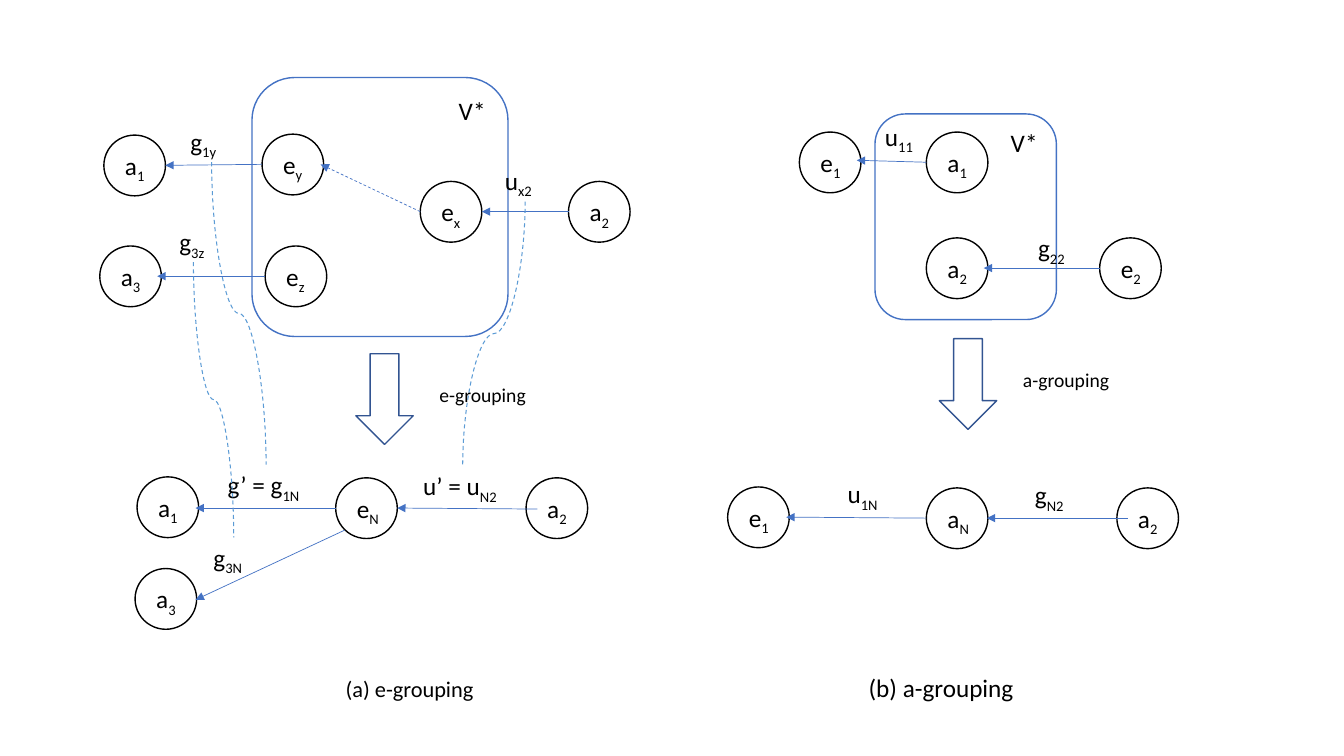
from dataclasses import dataclass

from lxml import etree
from pptx import Presentation
from pptx.dml.color import RGBColor
from pptx.enum.dml import MSO_LINE
from pptx.enum.shapes import MSO_CONNECTOR, MSO_SHAPE
from pptx.enum.text import MSO_ANCHOR, MSO_AUTO_SIZE, PP_ALIGN
from pptx.oxml.ns import qn
from pptx.util import Pt

OVAL, ROUND, DOWN = MSO_SHAPE.OVAL, MSO_SHAPE.ROUNDED_RECTANGLE, MSO_SHAPE.DOWN_ARROW
STRAIGHT, CURVE = MSO_CONNECTOR.STRAIGHT, MSO_CONNECTOR.CURVE
DASH, TOP, RIGHT = MSO_LINE.DASH, MSO_ANCHOR.TOP, PP_ALIGN.RIGHT
FIT = MSO_AUTO_SIZE.SHAPE_TO_FIT_TEXT

FONT = "Calibri"
COLORS = {"ink": "000000", "paper": "FFFFFF", "edge": "4472C4",
          "block": "325491", "curve": "5B9BD5"}
NODE_W, NODE_H = 44, 43.4


@dataclass
class Label:
    x: float
    y: float
    width: float
    base: str
    sub: str = ""
    size: float = 18
    wrap: bool = True


@dataclass
class Node:
    x: float
    y: float
    base: str
    sub: str


@dataclass
class Box:
    x: float
    y: float
    width: float
    height: float


@dataclass
class Link:
    x1: float
    y1: float
    x2: float
    y2: float
    dashed: bool = False


FRAMES = [Box(625, 81.4, 129.6, 146.9), Box(180, 55.4, 182.9, 185)]
BLOCKS = [Box(254.2, 252.7, 41, 64.8), Box(671, 241.9, 41, 64.8)]

NODES = [
    # Left, before and after
    Node(187.2, 95.8, "e", "y"), Node(189.4, 175.7, "e", "z"),
    Node(300.2, 129.6, "e", "x"), Node(406.1, 129.6, "a", "2"),
    Node(74.2, 96.5, "a", "1"), Node(71.3, 175.7, "a", "3"),
    Node(239.8, 341.3, "e", "N"), Node(375.8, 341.3, "a", "2"),
    Node(97.9, 340.6, "a", "1"), Node(96.5, 406.1, "a", "3"),
    # Right, before and after
    Node(661.7, 94.3, "a", "1"), Node(661.7, 169.9, "a", "2"),
    Node(571, 94.3, "e", "1"), Node(785.5, 169.9, "e", "2"),
    Node(661.7, 348.5, "a", "N"), Node(797.8, 348.5, "a", "2"),
    Node(519.8, 347.8, "e", "1"),
]

LABELS = [
    # Edge names
    Label(121, 158.4, 35.3, "g", "3z"), Label(353.5, 114.5, 43, "u", "x2"),
    Label(155.5, 331.9, 70, "g’ = g", "1N"), Label(145.4, 383.8, 43, "g", "3N"),
    Label(295.2, 332.6, 70, "u’ = u", "N2"), Label(128.9, 86.4, 44, "g", "1y"),
    Label(598.3, 338.4, 47.5, "u", "1N"), Label(732.2, 339.1, 44, "g", "N2"),
    Label(625, 82.8, 43, "u", "11"), Label(734.4, 162.7, 43, "g", "22"),
    # Step names and captions
    Label(306.7, 270, 77, "e-grouping", size=14, wrap=False),
    Label(723.6, 259.2, 77, "a-grouping", size=14, wrap=False),
    Label(239.8, 478.8, 107, "(a) e-grouping", size=16, wrap=False),
    Label(613.4, 476.6, 119.5, "(b) a-grouping", wrap=False),
]

LINKS = [
    Link(187.2, 117.4, 118.1, 118.1), Link(189.4, 197.3, 112.3, 197.3),
    Link(406.1, 151.2, 344.2, 151.2), Link(300.2, 151.2, 229, 117.4, True),
    Link(239.8, 362.9, 139.7, 362.9), Link(246.2, 378.7, 139.7, 428.4),
    Link(383.8, 363.6, 283.7, 362.9), Link(661.7, 370.1, 561.6, 369.4),
    Link(805.7, 370.1, 704.9, 370.1), Link(785.5, 191.5, 702.7, 191.5),
    Link(661.7, 115.9, 612, 114.5),
]

CURVES = [
    Link(375.1, 144, 330.5, 332.6, True), Link(151.2, 115.9, 190.1, 331.9, True),
    Link(138.2, 187.2, 167, 383.8, True),
]


def color(name: str) -> RGBColor:
    return RGBColor.from_string(COLORS[name])


def add_run(para, text: str, size: float, sub: bool = False) -> None:
    run = para.add_run()
    run.text = text
    run.font.name, run.font.size = FONT, Pt(size)
    run.font.color.rgb = color("ink")
    if sub:
        run.font._element.set("baseline", "-25000")


def add_label(slide, label: Label) -> None:
    box = slide.shapes.add_textbox(Pt(label.x), Pt(label.y), Pt(label.width),
                                   Pt(label.size * 1.2 + 7.4))
    frame = box.text_frame
    frame.word_wrap, frame.auto_size = label.wrap, FIT
    add_run(frame.paragraphs[0], label.base, label.size)
    if label.sub:
        add_run(frame.paragraphs[0], label.sub, label.size, sub=True)


def add_shape(slide, kind, box: Box, line: str, fill: str = ""):
    shape = slide.shapes.add_shape(kind, Pt(box.x), Pt(box.y),
                                   Pt(box.width), Pt(box.height))
    shape.shadow.inherit = False
    shape.line.color.rgb, shape.line.width = color(line), Pt(1)
    if fill:
        shape.fill.solid()
        shape.fill.fore_color.rgb = color(fill)
    else:
        shape.fill.background()
    return shape


def add_frame(slide, box: Box) -> None:
    text = add_shape(slide, ROUND, box, "edge", "paper").text_frame
    text.vertical_anchor = TOP
    text.paragraphs[0].alignment = RIGHT
    add_run(text.paragraphs[0], "V*", 18)


def add_node(slide, node: Node) -> None:
    add_label(slide, Label(node.x + 8, node.y + 7.3, 33.5, node.base, node.sub))
    add_shape(slide, OVAL, Box(node.x, node.y, NODE_W, NODE_H), "ink")


def add_line(slide, kind, link: Link, hue: str, width: float):
    line = slide.shapes.add_connector(kind, Pt(link.x1), Pt(link.y1),
                                      Pt(link.x2), Pt(link.y2))
    line.line.color.rgb, line.line.width = color(hue), Pt(width)
    if link.dashed:
        line.line.dash_style = DASH
    etree.SubElement(line._element.spPr, qn("a:effectLst"))
    return line


def add_link(slide, link: Link) -> None:
    line = add_line(slide, STRAIGHT, link, "edge", 0.5)
    etree.SubElement(line.line._get_or_add_ln(), qn("a:tailEnd"), type="triangle")


def add_curve(slide, link: Link) -> None:
    # A quarter turn makes the curve leave and arrive upright
    wide, high = link.x2 - link.x1, link.y2 - link.y1
    left = (link.x1 + link.x2 - high) / 2
    top = (link.y1 + link.y2 - abs(wide)) / 2
    flat = Link(left, top, left + high, top + abs(wide), link.dashed)
    line = add_line(slide, CURVE, flat, "curve", 0.75)
    xfrm = line._element.spPr.find(qn("a:xfrm"))
    xfrm.set("rot", str((90 if wide < 0 else 270) * 60000))
    if wide > 0:
        xfrm.set("flipH", "1")


def main() -> None:
    deck = Presentation()
    deck.slide_width, deck.slide_height = Pt(960), Pt(540)
    slide = deck.slides.add_slide(deck.slide_layouts[6])
    for box in FRAMES:
        add_frame(slide, box)
    for node in NODES:
        add_node(slide, node)
    for label in LABELS:
        add_label(slide, label)
    for link in LINKS:
        add_link(slide, link)
    for box in BLOCKS:
        add_shape(slide, DOWN, box, "block")
    for link in CURVES:
        add_curve(slide, link)
    deck.save("out.pptx")


if __name__ == "__main__":
    main()
